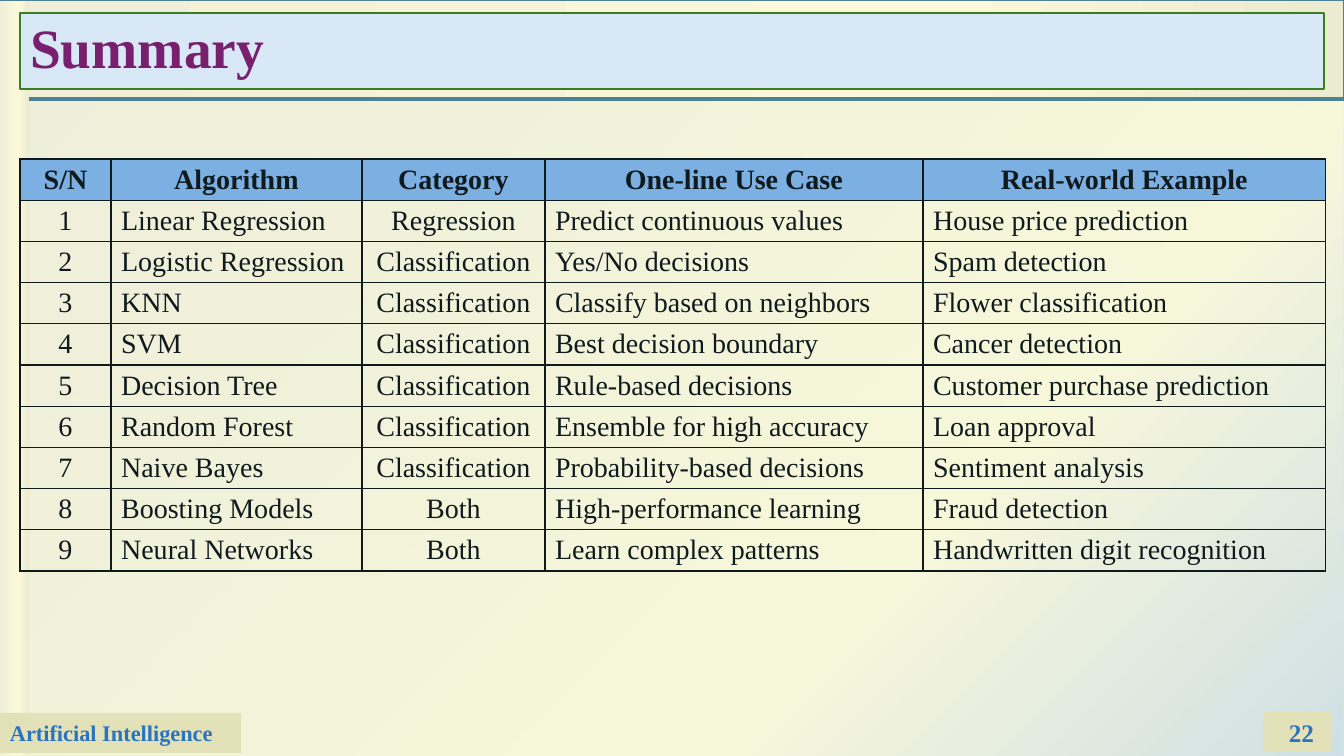
from lxml import etree
from pptx import Presentation
from pptx import util as u
from pptx.dml.color import RGBColor
from pptx.enum import shapes, text
from pptx.oxml import ns

EMU_PER_PX = 914400 / 100.8
FONT = "Times New Roman"
COLORS = {
    "background": "D6E5EA",
    "mist": "CDDFE5",
    "cream": "FBF9D9",
    "ivory": "F0EFD9",
    "sand": "EBEBD1",
    "tab": "E3E1B7",
    "rule": "4C8294",
    "title_fill": "D9E8F7",
    "title_line": "3B7D23",
    "title_text": "78206E",
    "footer_text": "2A74BF",
    "header": "7CAFE2",
    "ink": "0F1A1D",
}
COLUMN_WIDTHS = [91, 251, 183, 378, 403]
ROW_HEIGHT = 41
CENTERED_COLUMNS = {0, 2}
HEADINGS = ["S/N", "Algorithm", "Category", "One-line Use Case", "Real-world Example"]
ALGORITHMS = [
    ("Linear Regression", "Regression", "Predict continuous values", "House price prediction"),
    ("Logistic Regression", "Classification", "Yes/No decisions", "Spam detection"),
    ("KNN", "Classification", "Classify based on neighbors", "Flower classification"),
    ("SVM", "Classification", "Best decision boundary", "Cancer detection"),
    ("Decision Tree", "Classification", "Rule-based decisions", "Customer purchase prediction"),
    ("Random Forest", "Classification", "Ensemble for high accuracy", "Loan approval"),
    ("Naive Bayes", "Classification", "Probability-based decisions", "Sentiment analysis"),
    ("Boosting Models", "Both", "High-performance learning", "Fraud detection"),
    ("Neural Networks", "Both", "Learn complex patterns", "Handwritten digit recognition"),
]


def px(length):
    return u.Emu(round(length * EMU_PER_PX))


def rgb(name):
    return RGBColor.from_string(COLORS[name])


def write(frame, words, size, color, bold=True, align=text.PP_ALIGN.LEFT):
    frame.text = words
    frame.vertical_anchor = text.MSO_ANCHOR.MIDDLE
    paragraph = frame.paragraphs[0]
    paragraph.alignment = align
    font = paragraph.runs[0].font
    font.name, font.size, font.bold = FONT, u.Pt(size), bold
    font.color.rgb = rgb(color)


def add_panel(slide, box, fill=None):
    shape = slide.shapes.add_shape(shapes.MSO_SHAPE.RECTANGLE, *map(px, box))
    shape.shadow.inherit = False
    shape.line.fill.background()
    if fill:
        shape.fill.solid()
        shape.fill.fore_color.rgb = rgb(fill)
    return shape


def add_gradient_panel(slide, box, stops, angle=None):
    shape = add_panel(slide, box)
    shape.fill.background()
    properties = shape._element.spPr
    gradient = etree.Element(ns.qn("a:gradFill"), rotWithShape="1")
    stop_list = etree.SubElement(gradient, ns.qn("a:gsLst"))
    for position, color, opacity in stops:
        stop = etree.SubElement(stop_list, ns.qn("a:gs"), pos=str(position * 1000))
        tint = etree.SubElement(stop, ns.qn("a:srgbClr"), val=COLORS[color])
        if opacity < 100:
            etree.SubElement(tint, ns.qn("a:alpha"), val=str(opacity * 1000))
    if angle is None:
        radial = etree.SubElement(gradient, ns.qn("a:path"))
        radial.set("path", "circle")
        etree.SubElement(radial, ns.qn("a:fillToRect"), l="100000", t="100000")
    else:
        etree.SubElement(gradient, ns.qn("a:lin"), ang=str(angle * 60000), scaled="0")
    properties.replace(properties.find(ns.qn("a:noFill")), gradient)
    return shape


def add_backdrop(slide, left, top, width, height):
    slide.background.fill.solid()
    slide.background.fill.fore_color.rgb = rgb("background")
    add_gradient_panel(slide, (left, top + 1, width, height + 3),
                       [(0, "mist", 91), (30, "cream", 90), (100, "ivory", 89)])
    band = add_gradient_panel(slide, (left + 1, top - 1, width, 100),
                              [(0, "sand", 100), (30, "cream", 100), (100, "ivory", 100)], 180)
    band.line.color.rgb = rgb("rule")
    band.line.width = u.Pt(2.25)
    add_gradient_panel(slide, (left, top + 1, 29, height + 1),
                       [(0, "ivory", 100), (66, "cream", 100), (100, "sand", 100)], 0)


def add_footer(slide, left, top, width, height):
    course = add_panel(slide, (left, top + 1, 241, height), "tab")
    write(course.text_frame, "Artificial Intelligence", 16, "footer_text")
    add_panel(slide, (left + width - 81, top, 68, height), "tab")
    number = slide.shapes.add_textbox(*map(px, (left + width - 206, top, 186, height)))
    number.text_frame.word_wrap = True
    write(number.text_frame, "22", 18, "footer_text", align=text.PP_ALIGN.RIGHT)


def place_title(slide, left, top, width, height):
    title = slide.shapes.title
    slide.shapes._spTree.append(title._element)
    title.left, title.top, title.width, title.height = map(px, (left, top, width, height))
    title.fill.solid()
    title.fill.fore_color.rgb = rgb("title_fill")
    title.line.color.rgb = rgb("title_line")
    title.line.width = u.Pt(1)
    write(title.text_frame, "Summary", 39.6, "title_text")
    title.text_frame.paragraphs[0].line_spacing = 0.9


def add_borders(cell):
    properties = cell._tc.get_or_add_tcPr()
    for side in ("lnL", "lnR", "lnT", "lnB"):
        line = etree.SubElement(properties, ns.qn("a:" + side), w=str(u.Pt(1)))
        fill = etree.SubElement(line, ns.qn("a:solidFill"))
        etree.SubElement(fill, ns.qn("a:srgbClr"), val=COLORS["ink"])


def add_summary_table(slide, left, top):
    rows = [HEADINGS] + [(str(i), *entry) for i, entry in enumerate(ALGORITHMS, 1)]
    box = (left, top, sum(COLUMN_WIDTHS), ROW_HEIGHT * len(rows))
    table = slide.shapes.add_table(len(rows), len(HEADINGS), *map(px, box)).table
    table.first_row = table.horz_banding = False
    for column, width in zip(table.columns, COLUMN_WIDTHS):
        column.width = px(width)
    for i, row in enumerate(rows):
        for j, words in enumerate(row):
            cell = table.cell(i, j)
            heading = i == 0
            centered = heading or j in CENTERED_COLUMNS
            write(cell.text_frame, words, 20, "ink", heading,
                  text.PP_ALIGN.CENTER if centered else text.PP_ALIGN.LEFT)
            cell.vertical_anchor = text.MSO_ANCHOR.MIDDLE
            add_borders(cell)
            if heading:
                cell.fill.solid()
                cell.fill.fore_color.rgb = rgb("header")
            else:
                cell.fill.background()


def build_summary_slide(presentation, width, height):
    slide = presentation.slides.add_slide(presentation.slide_layouts[5])
    add_backdrop(slide, 0, 0, width, height)
    add_footer(slide, 0, height - 44, width, 40)
    place_title(slide, 20, 13, width - 40, 76)
    add_summary_table(slide, 20, 159)


def main():
    presentation = Presentation()
    presentation.slide_width, presentation.slide_height = px(1344), px(756)
    build_summary_slide(presentation, 1344, 756)
    presentation.save("out.pptx")


if __name__ == "__main__":
    main()
